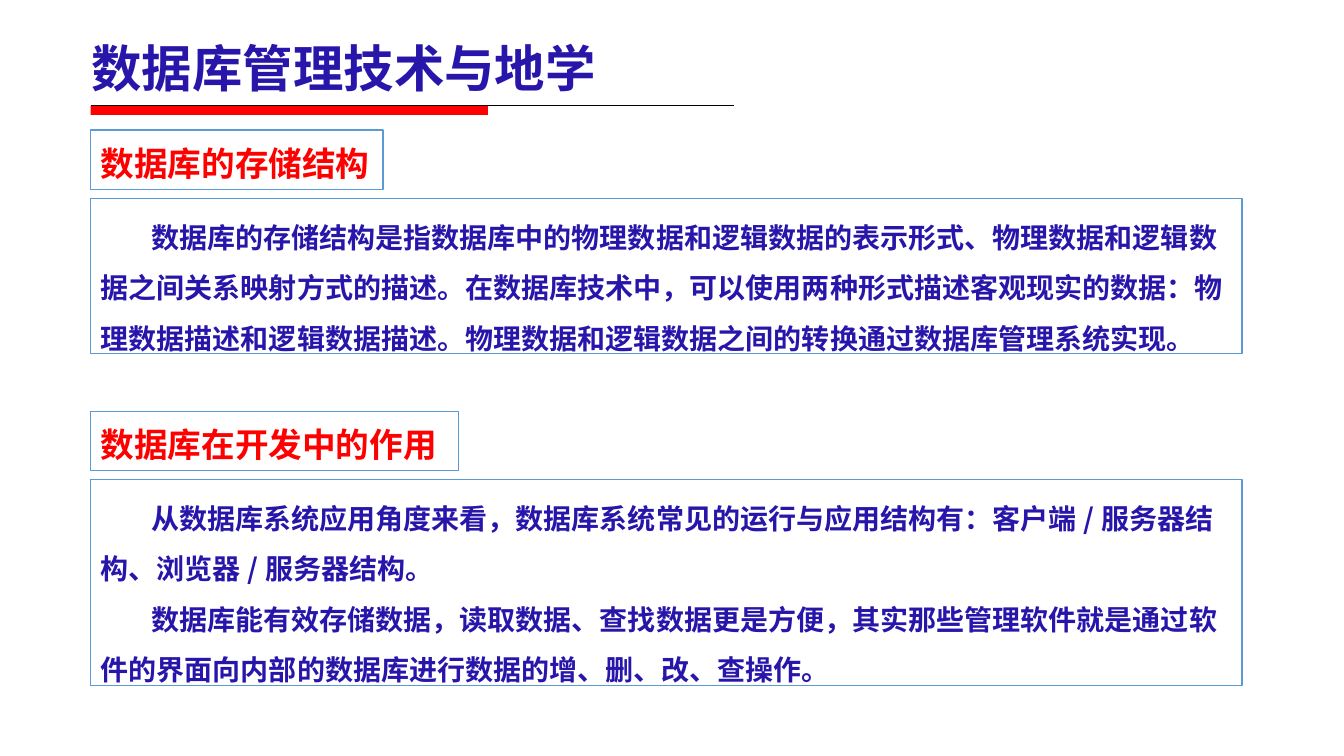
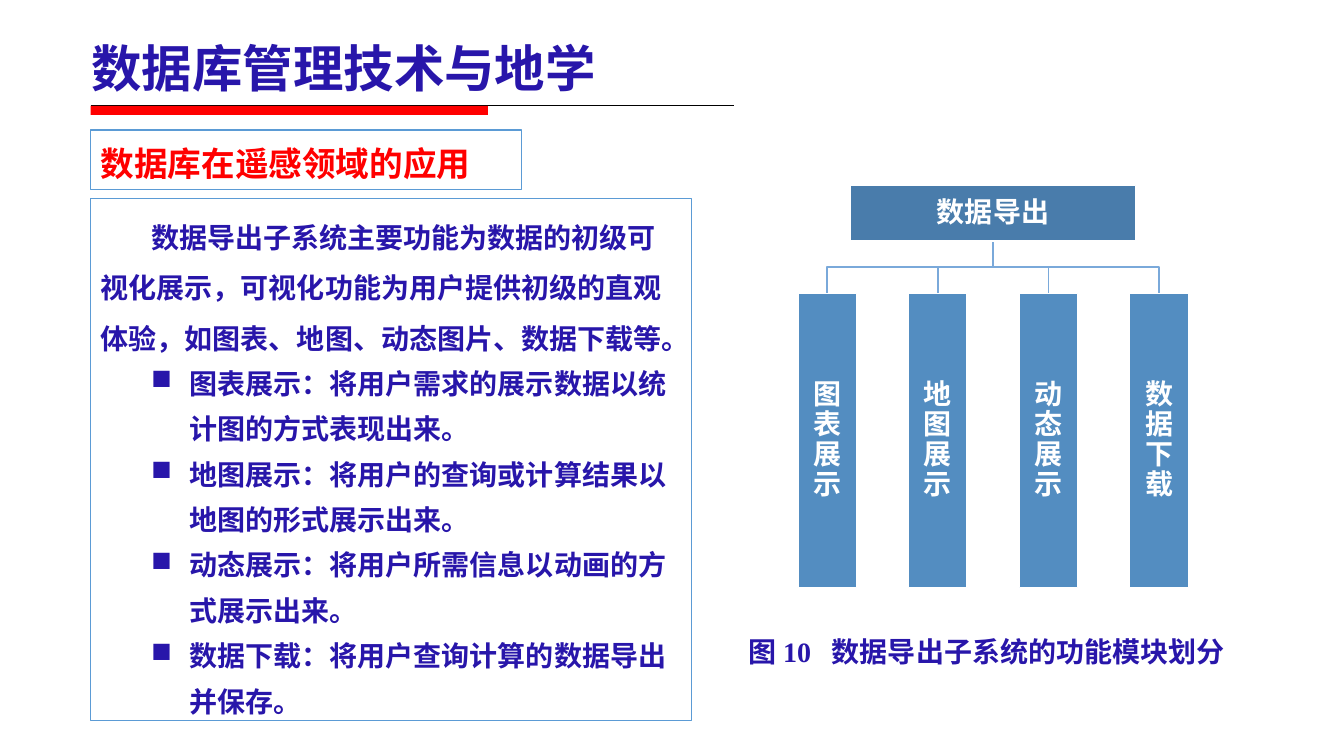
import pptx
import pptx.dml.color
import pptx.enum.shapes
import pptx.enum.text
import pptx.oxml.ns
import pptx.util
from dataclasses import dataclass
from lxml import etree

ANCHOR = pptx.enum.text.MSO_ANCHOR
ALIGN = pptx.enum.text.PP_ALIGN


@dataclass(frozen=True)
class Theme:
    ink: str = "2816AA"
    accent: str = "FF0000"
    paper: str = "FFFFFF"
    frame: str = "5B9BD5"
    rule: str = "000000"
    branch: str = "7AA9DA"
    root: str = "497CAB"
    leaf: str = "538DC1"
    sans: str = "Noto Sans CJK SC"
    serif: str = "Times New Roman"
    title_size: int = 36
    heading_size: int = 24
    body_size: int = 20


T = Theme()
LEFT, TITLE_TEXT = 9, "数据库管理技术与地学"
BODY_DROP = 6.8  # rows from the top of a heading to the top of its body

TITLE = dict(size=T.title_size, color=T.ink, font=T.sans)
HEADING = dict(size=T.heading_size, color=T.accent, font=T.serif)
BODY = dict(size=T.body_size, color=T.ink, font=T.sans)
LABEL = dict(BODY, color=T.paper)

SPACED = dict(line_spacing=1.2, space_after=pptx.util.Pt(6))
PROSE = dict(line_spacing=1.5)
ITEM = dict(line_spacing=1.35, level=1)
CENTRED = dict(alignment=ALIGN.CENTER)


def g(n):
    """Length of n grid cells, ten to the inch."""
    return pptx.util.Inches(n / 10)


def rgb(code):
    return pptx.dml.color.RGBColor.from_string(code)


def assign(target, values):
    for name, value in values.items():
        setattr(target, name, value)


def add_run(p, text, size, color, font):
    r = p.add_run()
    r.text = text
    assign(r.font, dict(size=pptx.util.Pt(size), bold=True, name=font))
    r.font.color.rgb = rgb(color)
    ea = etree.SubElement(r.font._element, pptx.oxml.ns.qn("a:ea"))
    ea.set("typeface", T.sans)
    return r


def indent(p, margin, first, bullet=None):
    pPr = p._p.get_or_add_pPr()
    pPr.set("marL", str(g(margin)))
    pPr.set("indent", str(g(first)))
    if bullet:
        etree.SubElement(pPr, pptx.oxml.ns.qn("a:buChar")).set("char", bullet)


def next_paragraph(tf, layout):
    p = tf.paragraphs[0]
    if p.runs:
        p = tf.add_paragraph()
    assign(p, layout)
    return p


def add_text(slide, x, y, w, h, **frame):
    tf = slide.shapes.add_textbox(g(x), g(y), g(w), g(h)).text_frame
    assign(tf, dict(word_wrap=True, **frame))
    return tf


def add_box(slide, x, y, w, h, fill=T.paper, line=None, **frame):
    rect = pptx.enum.shapes.MSO_SHAPE.RECTANGLE
    sp = slide.shapes.add_shape(rect, g(x), g(y), g(w), g(h))
    sp.shadow.inherit = False
    sp.fill.solid()
    sp.fill.fore_color.rgb = rgb(fill)
    if line:
        sp.line.color.rgb = rgb(line)
        sp.line.width = pptx.util.Pt(1)
    else:
        sp.line.fill.background()
    assign(sp.text_frame, dict(dict(word_wrap=True, vertical_anchor=ANCHOR.TOP), **frame))
    sp.text_frame.paragraphs[0].alignment = ALIGN.LEFT
    return sp.text_frame


def add_polyline(slide, points, color):
    start, *rest = [(g(x), g(y)) for x, y in points]
    builder = slide.shapes.build_freeform(*start)
    builder.add_line_segments(rest, close=False)
    sp = builder.convert_to_shape()
    sp.shadow.inherit = False
    sp.fill.background()
    sp.line.color.rgb = rgb(color)
    sp.line.width = pptx.util.Pt(1)


def add_title_slide(prs):
    """Blank slide with the shared title and its two-part rule."""
    slide = prs.slides.add_slide(prs.slide_layouts[6])
    straight = pptx.enum.shapes.MSO_CONNECTOR.STRAIGHT
    cn = slide.shapes.add_connector(straight, g(LEFT), g(10.5), g(72.8), g(10.5))
    cn.line.color.rgb = rgb(T.rule)
    cn.line.width = pptx.util.Pt(0.75)
    etree.SubElement(cn._element.spPr, pptx.oxml.ns.qn("a:effectLst"))
    add_box(slide, LEFT, 10.5, 39.4, 0.9, T.accent)
    tf = add_text(slide, 8.1, 3.2, 67.5, 6.4, vertical_anchor=ANCHOR.MIDDLE)
    add_run(next_paragraph(tf, dict(SPACED, line_spacing=1.1)), TITLE_TEXT, **TITLE)
    return slide


def add_section(slide, y, heading, heading_w, body_w, body_h, prose, items=()):
    tf = add_box(slide, LEFT, y, heading_w, 5.9, line=T.frame)
    add_run(next_paragraph(tf, SPACED), heading, **HEADING)
    tf = add_box(slide, LEFT, y + BODY_DROP, body_w, body_h, line=T.frame)
    for text in prose:
        p = next_paragraph(tf, PROSE)
        indent(p, 0, 5)
        add_run(p, text, **BODY)
    for text in items:
        p = next_paragraph(tf, ITEM)
        indent(p, 8.8, -3.8, "■")
        add_run(p, text, **BODY)


def add_node(slide, x, y, w, h, text, fill, side_inset):
    tf = add_box(slide, x, y, w, h, fill, T.paper, vertical_anchor=ANCHOR.MIDDLE,
                 margin_left=g(side_inset), margin_right=g(side_inset),
                 margin_top=g(0.1), margin_bottom=g(0.1))
    add_run(next_paragraph(tf, dict(CENTRED, line_spacing=0.9)), text, **LABEL)


def add_tree(slide, root, leaves):
    centre, root_y, root_w, root_h = 98.5, 18.4, 28.3, 5.5
    leaf_y, leaf_w, leaf_h, pitch = 29.1, 5.8, 29.2, 10.97
    root_end = root_y + root_h
    bend = (root_end + leaf_y) / 2
    centres = [centre + (i - (len(leaves) - 1) / 2) * pitch for i in range(len(leaves))]
    for x in centres:
        add_polyline(slide, [(centre, root_end), (centre, bend), (x, bend), (x, leaf_y)], T.branch)
    add_node(slide, centre - root_w / 2, root_y, root_w, root_h, root, T.root, 0.1)
    for x, text in zip(centres, leaves):
        add_node(slide, x - leaf_w / 2, leaf_y, leaf_w, leaf_h, text, T.leaf, 1)


def add_caption(slide, number, text):
    p = next_paragraph(add_text(slide, 72.3, 62.5, 51.1, 4.4), CENTRED)
    add_run(p, "图", **BODY)
    add_run(p, number, **dict(BODY, font=T.serif))
    gap = add_run(p, " ", **dict(BODY, font=T.serif))
    gap.font._element.set("spc", "500")
    add_run(p, text, **BODY)


def build_structure_slide(prs):
    slide = add_title_slide(prs)
    add_section(slide, 12.9, "数据库的存储结构", 29, 114.2, 15.4, [
        "数据库的存储结构是指数据库中的物理数据和逻辑数据的表示形式、物理数据和逻辑数据之间关系映射方式的描述。"
        "在数据库技术中，可以使用两种形式描述客观现实的数据：物理数据描述和逻辑数据描述。"
        "物理数据和逻辑数据之间的转换通过数据库管理系统实现。"])
    add_section(slide, 40.8, "数据库在开发中的作用", 36.5, 114.2, 20.4, [
        "从数据库系统应用角度来看，数据库系统常见的运行与应用结构有：客户端/服务器结构、浏览器/服务器结构。",
        "数据库能有效存储数据，读取数据、查找数据更是方便，"
        "其实那些管理软件就是通过软件的界面向内部的数据库进行数据的增、删、改、查操作。"])


def build_export_slide(prs):
    slide = add_title_slide(prs)
    add_section(slide, 12.9, "数据库在遥感领域的应用", 42.7, 59.6, 51.8, [
        "数据导出子系统主要功能为数据的初级可视化展示，可视化功能为用户提供初级的直观体验，"
        "如图表、地图、动态图片、数据下载等。"], [
        "图表展示：将用户需求的展示数据以统计图的方式表现出来。",
        "地图展示：将用户的查询或计算结果以地图的形式展示出来。",
        "动态展示：将用户所需信息以动画的方式展示出来。",
        "数据下载：将用户查询计算的数据导出并保存。"])
    add_tree(slide, "数据导出", ["图表展示", "地图展示", "动态展示", "数据下载"])
    add_caption(slide, "10", "数据导出子系统的功能模块划分")


def main():
    prs = pptx.Presentation()
    assign(prs, dict(slide_width=pptx.util.Inches(13.33), slide_height=pptx.util.Inches(7.5)))
    build_structure_slide(prs)
    build_export_slide(prs)
    prs.save("out.pptx")


if __name__ == "__main__":
    main()
